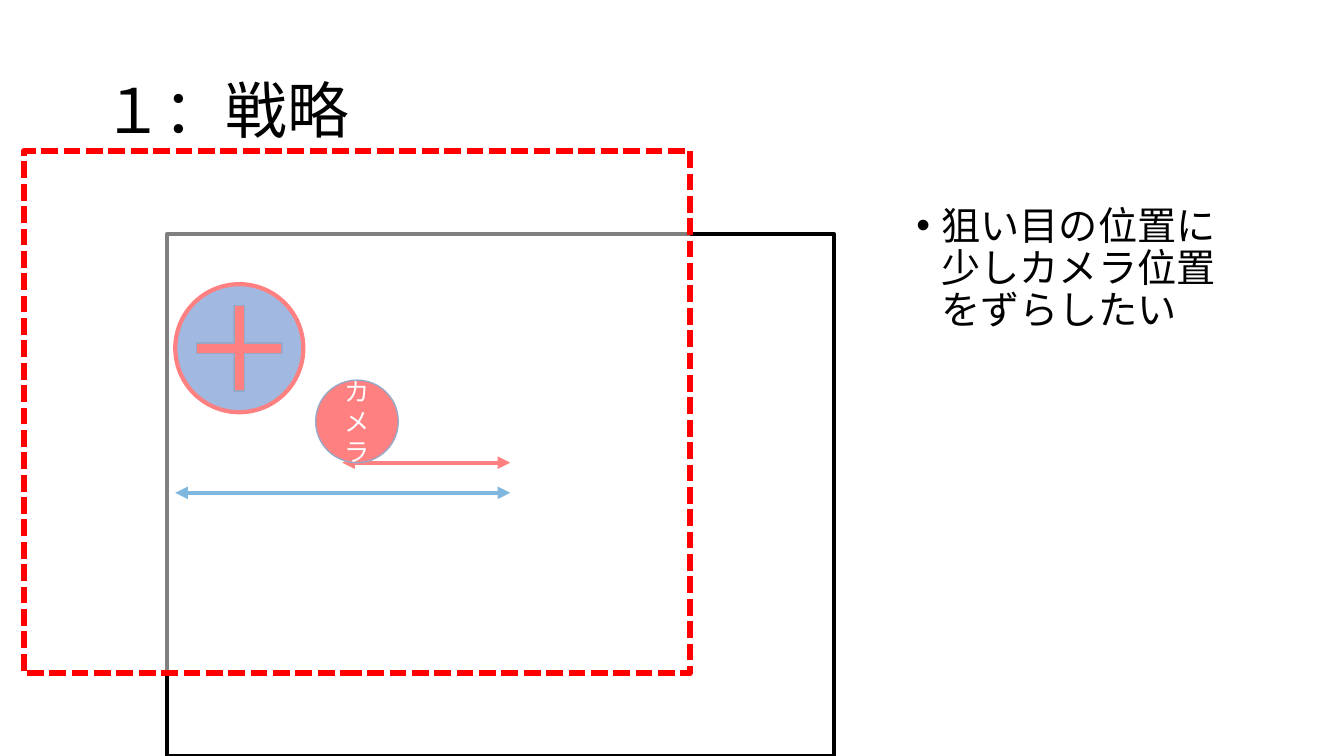
from lxml import etree
from pptx import Presentation
from pptx.dml.color import RGBColor
from pptx.enum.dml import MSO_LINE
from pptx.enum.shapes import MSO_CONNECTOR, MSO_SHAPE
from pptx.enum.text import MSO_ANCHOR, PP_ALIGN
from pptx.oxml.ns import qn
from pptx.util import Pt

BLACK = RGBColor(0x00, 0x00, 0x00)
WHITE = RGBColor(0xFF, 0xFF, 0xFF)
RED = RGBColor(0xFF, 0x00, 0x00)
BLUE = RGBColor(0x44, 0x72, 0xC4)
DARK_BLUE = RGBColor(0x32, 0x54, 0x91)
ARROW_BLUE = RGBColor(0x00, 0x70, 0xC0)

FONT = "Open Sans"
FRAME_W, FRAME_H = 476, 373
ARROW_END = 364.5


def set_text(sp, text, size, color, anchor, line_spacing=None):
    tf = sp.text_frame
    tf.word_wrap = True
    tf.vertical_anchor = anchor
    p = tf.paragraphs[0]
    p.text = text
    p.font.name = FONT
    p.font.size = Pt(size)
    p.font.color.rgb = color
    if line_spacing:
        p.line_spacing = line_spacing
    return p


def add_text(s, box, text, size, anchor):
    sp = s.shapes.add_textbox(*map(Pt, box))
    return set_text(sp, text, size, BLACK, anchor, 0.9)


def add_bullet(p, indent):
    pPr = p._p.get_or_add_pPr()
    pPr.set("marL", str(Pt(indent)))
    pPr.set("indent", str(-Pt(indent)))
    # Bullet elements come before the default run properties
    font = etree.Element(qn("a:buFont"), typeface="Arial")
    char = etree.Element(qn("a:buChar"), char="•")
    defaults = pPr.find(qn("a:defRPr"))
    defaults.addprevious(font)
    defaults.addprevious(char)


def add_shape(shapes, kind, box, fill, line, width):
    sp = shapes.add_shape(kind, *map(Pt, box))
    sp.shadow.inherit = False
    sp.fill.solid()
    sp.fill.fore_color.rgb = fill
    sp.line.color.rgb = line
    sp.line.width = Pt(width)
    return sp


def set_alpha(sp, percent):
    color = sp.fill._xPr.find(qn("a:solidFill"))[0]
    etree.SubElement(color, qn("a:alpha"), val=str(percent * 1000))


def add_double_arrow(s, x1, x2, y, color):
    cx = s.shapes.add_connector(MSO_CONNECTOR.STRAIGHT, Pt(x1), Pt(y), Pt(x2), Pt(y))
    cx.line.color.rgb = color
    cx.line.width = Pt(3)
    ln = cx.line._get_or_add_ln()
    for end in ("a:headEnd", "a:tailEnd"):
        etree.SubElement(ln, qn(end), type="triangle")
    etree.SubElement(cx._element.spPr, qn("a:effectLst"))


def add_target(s):
    group = s.shapes.add_group_shape()
    add_shape(group.shapes, MSO_SHAPE.OVAL, (125.2, 203, 91.5, 91.5), BLUE, RED, 3)
    plus = add_shape(group.shapes, MSO_SHAPE.MATH_PLUS,
                     (129.5, 207.3, 82.9, 82.9), RED, DARK_BLUE, 1)
    plus.adjustments[0] = 0.09


def main():
    prs = Presentation()
    prs.slide_width, prs.slide_height = Pt(960), Pt(540)
    s = prs.slides.add_slide(prs.slide_layouts[6])

    # Title and remark
    add_text(s, (66, 28.75, 828, 104.4), "１：戦略", 44, MSO_ANCHOR.MIDDLE)
    p = add_text(s, (647.5, 143.75, 246.5, 342.6),
                 "狙い目の位置に少しカメラ位置をずらしたい", 28, MSO_ANCHOR.TOP)
    p.space_before = Pt(10)
    add_bullet(p, 18)

    # Screen with the target
    add_shape(s.shapes, MSO_SHAPE.RECTANGLE, (119.5, 167, FRAME_W, FRAME_H),
              WHITE, BLACK, 3)
    add_target(s)

    # Distances from the screen centre
    add_double_arrow(s, 125.2, ARROW_END, 352, ARROW_BLUE)
    add_double_arrow(s, 244.5, ARROW_END, 330.5, RED)

    # Camera
    camera = add_shape(s.shapes, MSO_SHAPE.OVAL, (225.5, 271.5, 59, 59),
                       RED, DARK_BLUE, 1)
    p = set_text(camera, "カメラ", 18, WHITE, MSO_ANCHOR.MIDDLE)
    p.alignment = PP_ALIGN.CENTER

    # Shifted camera view
    view = add_shape(s.shapes, MSO_SHAPE.RECTANGLE, (17, 107.8, FRAME_W, FRAME_H),
                     WHITE, RED, 4)
    set_alpha(view, 50)
    view.line.dash_style = MSO_LINE.SQUARE_DOT

    prs.save("out.pptx")


if __name__ == "__main__":
    main()
